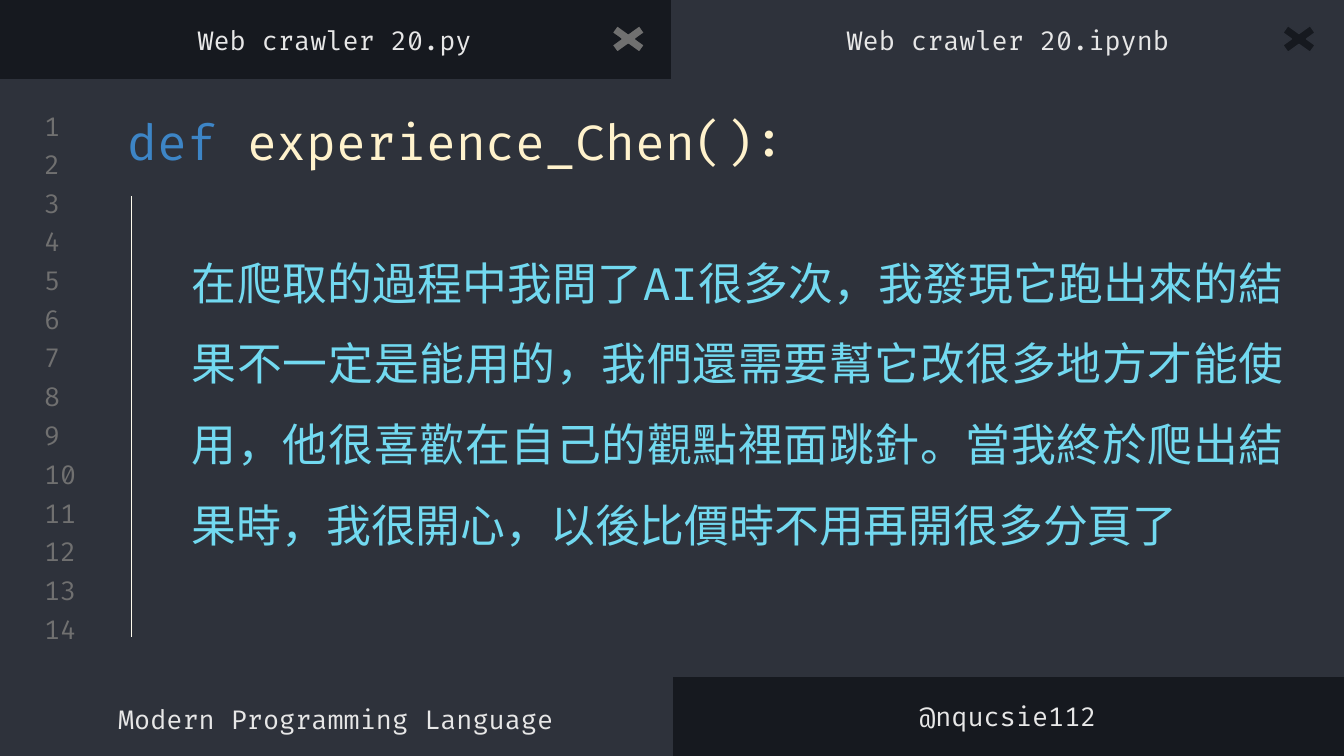
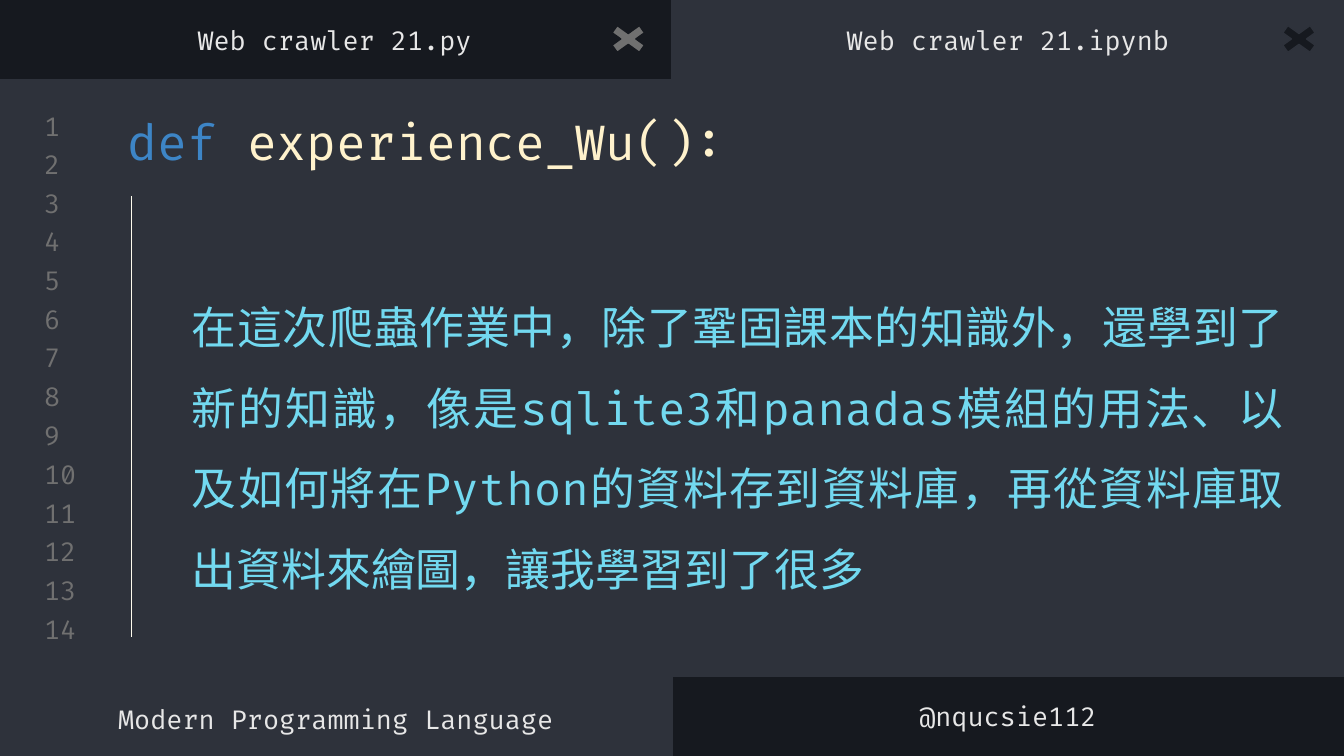
from dataclasses import dataclass

from lxml.etree import SubElement
from pptx import Presentation
from pptx.dml.color import RGBColor
from pptx.enum.shapes import MSO_CONNECTOR, MSO_SHAPE as Preset
from pptx.enum.text import MSO_ANCHOR as Anchor, PP_ALIGN as Align
from pptx.oxml.ns import qn
from pptx.util import Emu, Pt

EMU_PER_PX = 4572
SLIDE_WIDTH, SLIDE_HEIGHT = 2000, 1125
INSET = 20
FONT = "Fira Code"

INK = RGBColor(0x16, 0x19, 0x1F)
PANEL = RGBColor(0x2E, 0x32, 0x3B)
GRAY = RGBColor(0x70, 0x70, 0x70)
LIGHT = RGBColor(0xE7, 0xE7, 0xE7)
KEYWORD = RGBColor(0x3D, 0x85, 0xC6)
FUNCTION = RGBColor(0xFF, 0xF2, 0xCC)
GUIDE = RGBColor(0xFF, 0xFC, 0xEE)
CYAN = RGBColor(0x72, 0xD9, 0xF0)

LINE_COUNT = 14
FIRST_LINE_TOP, LINE_SPAN = 163, 749


@dataclass(frozen=True)
class Box:
    left: int
    top: int
    width: int
    height: int

    def emu(self) -> list[Emu]:
        return [px(n) for n in (self.left, self.top, self.width, self.height)]


@dataclass(frozen=True)
class Block:
    preset: Preset
    box: Box
    fill: RGBColor
    line: RGBColor


@dataclass(frozen=True)
class Label:
    box: Box
    runs: tuple[tuple[str, RGBColor], ...]
    size: int = 14
    align: Align = Align.LEFT
    anchor: Anchor = Anchor.TOP
    spacing: float = 1.0


@dataclass(frozen=True)
class Experience:
    number: int
    author: str
    title_width: int
    body_box: Box
    body: str


PANELS = [
    Block(Preset.RECTANGLE, box, PANEL, PANEL)
    for box in (Box(0, 118, 2000, 888), Box(1000, 0, 1000, 130), Box(0, 996, 1000, 129))
]
CLOSE_MARKS = [
    Block(Preset.MATH_MULTIPLY, Box(1894, 30, 78, 56), INK, PANEL),
    Block(Preset.MATH_MULTIPLY, Box(896, 30, 78, 56), GRAY, INK),
]
EXPERIENCES = [
    Experience(
        20, "Chen", 1226, Box(266, 320, 1664, 628),
        "在爬取的過程中我問了AI很多次，我發現它跑出來的結果不一定是能用的，"
        "我們還需要幫它改很多地方才能使用，他很喜歡在自己的觀點裡面跳針。"
        "當我終於爬出結果時，我很開心，以後比價時不用再開很多分頁了",
    ),
    Experience(
        21, "Wu", 972, Box(266, 386, 1664, 468),
        "在這次爬蟲作業中，除了鞏固課本的知識外，還學到了新的知識，"
        "像是sqlite3和panadas模組的用法、以及如何將在Python的資料存到資料庫，"
        "再從資料庫取出資料來繪圖，讓我學習到了很多",
    ),
]


def px(length: int) -> Emu:
    return Emu(length * EMU_PER_PX)


def add_block(slide, block: Block) -> None:
    shape = slide.shapes.add_shape(block.preset, *block.box.emu())
    shape.shadow.inherit = False
    if block.preset == Preset.MATH_MULTIPLY:
        shape.adjustments[0] = 0.235
    shape.fill.solid()
    shape.fill.fore_color.rgb = block.fill
    shape.line.color.rgb = block.line
    shape.line.width = Pt(0.75)


def add_label(slide, label: Label) -> None:
    frame = slide.shapes.add_textbox(*label.box.emu()).text_frame
    frame.word_wrap = True
    frame.vertical_anchor = label.anchor
    frame.margin_left = frame.margin_right = px(INSET)
    frame.margin_top = frame.margin_bottom = px(INSET)
    paragraph = frame.paragraphs[0]
    paragraph.alignment = label.align
    paragraph.line_spacing = label.spacing
    font = paragraph.font
    font.size = Pt(label.size)
    if len(label.runs) == 1:
        font.color.rgb = label.runs[0][1]
    font.name = FONT
    defaults = paragraph._p.pPr.find(qn("a:defRPr"))
    SubElement(defaults, qn("a:ea"), typeface=FONT)
    for text, color in label.runs:
        run = paragraph.add_run()
        run.text = text
        if len(label.runs) > 1:
            run.font.color.rgb = color


def add_centered(slide, box: Box, text: str) -> None:
    add_label(slide, Label(box, ((text, LIGHT),), align=Align.CENTER, anchor=Anchor.MIDDLE))


def add_guide(slide) -> None:
    guide = slide.shapes.add_connector(
        MSO_CONNECTOR.STRAIGHT, px(196), px(292), px(196), px(948)
    )
    guide.line.color.rgb = GUIDE
    guide.line.width = Pt(0.75)
    SubElement(guide._element.spPr, qn("a:effectLst"))


def add_editor(slide, number: int) -> None:
    background = slide.background.fill
    background.solid()
    background.fore_color.rgb = INK
    for panel in PANELS:
        add_block(slide, panel)
    for index in range(LINE_COUNT):
        top = FIRST_LINE_TOP + index * LINE_SPAN // (LINE_COUNT - 1)
        add_label(
            slide,
            Label(Box(46, top, 94, 48), ((str(index + 1), GRAY),), anchor=Anchor.MIDDLE),
        )
    add_label(slide, Label(Box(156, 1026, 1064, 78), (("Modern Programming Language", LIGHT),)))
    add_centered(slide, Box(-2, 20, 1000, 78), f"Web crawler {number}.py")
    add_centered(slide, Box(1000, 20, 1000, 78), f"Web crawler {number}.ipynb")
    add_centered(slide, Box(1000, 1026, 1000, 78), "@nqucsie112")
    for mark in CLOSE_MARKS:
        add_block(slide, mark)


def add_experience(presentation, experience: Experience) -> None:
    slide = presentation.slides.add_slide(presentation.slide_layouts[6])
    add_editor(slide, experience.number)
    title = (("def ", KEYWORD), (f"experience_{experience.author}():", FUNCTION))
    add_label(slide, Label(Box(170, 146, experience.title_width, 126), title, size=26))
    add_guide(slide)
    add_label(
        slide,
        Label(
            experience.body_box, ((experience.body, CYAN),),
            size=24, align=Align.JUSTIFY, spacing=1.5,
        ),
    )


def main() -> None:
    presentation = Presentation()
    presentation.slide_width = px(SLIDE_WIDTH)
    presentation.slide_height = px(SLIDE_HEIGHT)
    for experience in EXPERIENCES:
        add_experience(presentation, experience)
    presentation.save("out.pptx")


if __name__ == "__main__":
    main()
